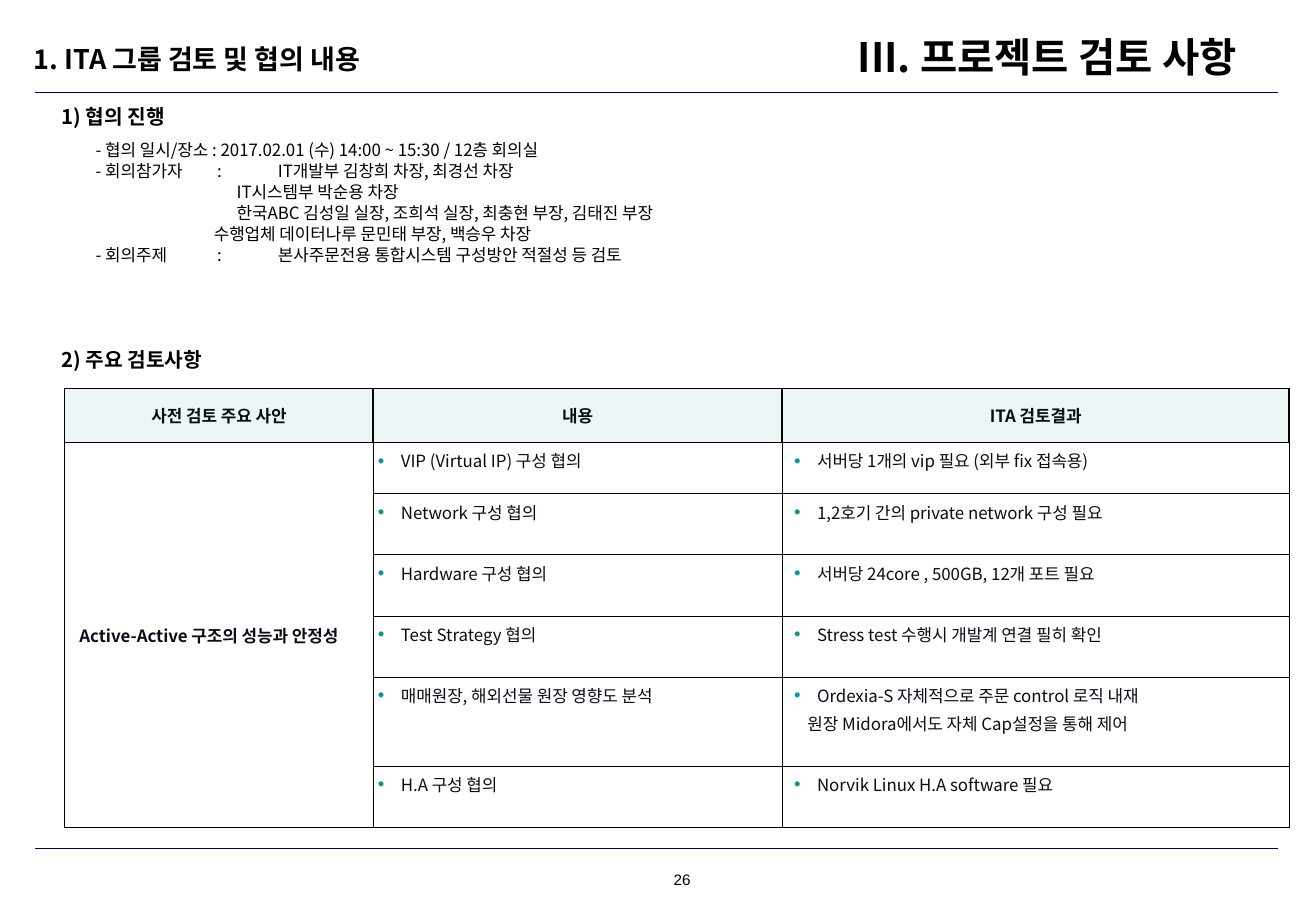
from lxml import etree
from pptx import Presentation
from pptx import util as u
from pptx.dml.color import RGBColor
from pptx.enum import shapes, text
from pptx.oxml import ns

FONT = "Noto Sans CJK KR"
LEFT, CENTER, JUSTIFY = text.PP_ALIGN.LEFT, text.PP_ALIGN.CENTER, text.PP_ALIGN.JUSTIFY
TOP, MIDDLE = text.MSO_ANCHOR.TOP, text.MSO_ANCHOR.MIDDLE

MEETING = [
    ("- 협의 일시/장소 : 2017.02.01 (수) 14:00 ~ 15:30 / 12층 회의실", 0),
    ("- 회의참가자\t:\tIT개발부 김창희 차장, 최경선 차장", 0),
    ("IT시스템부 박순용 차장", 2.95),
    ("한국ABC 김성일 실장, 조희석 실장, 최충현 부장, 김태진 부장", 2.95),
    ("수행업체 데이터나루 문민태 부장, 백승우 차장", 2.47),
    ("- 회의주제\t:\t본사주문전용 통합시스템 구성방안 적절성 등 검토", 0),
]
HEADERS = ["사전 검토 주요 사안", "내용", "ITA 검토결과"]
TOPIC = "Active-Active 구조의 성능과 안정성"
REVIEWS = [
    ("VIP (Virtual IP) 구성 협의", ["서버당 1개의 vip 필요 (외부 fix 접속용)"]),
    ("Network 구성 협의", ["1,2호기 간의 private network 구성 필요"]),
    ("Hardware 구성 협의", ["서버당 24core , 500GB, 12개 포트 필요"]),
    ("Test Strategy 협의", ["Stress test 수행시 개발계 연결 필히 확인"]),
    ("매매원장, 해외선물 원장 영향도 분석",
     ["Ordexia-S 자체적으로 주문 control 로직 내재",
      "원장 Midora에서도 자체 Cap설정을 통해 제어"]),
    ("H.A 구성 협의", ["Norvik Linux H.A software 필요"]),
]
COLUMN_WIDTHS = [6.45, 8.55, 10.6]
ROW_HEIGHTS = [1.13, 1.07, 1.28, 1.28, 1.28, 1.86, 1.28]


def color(value):
    return RGBColor.from_string(value)


def element(parent, tag, **attributes):
    return etree.SubElement(parent, ns.qn(tag), attributes)


class SlideBuilder:
    ink = "000000"
    table_ink = "0B0C17"
    rule = "000066"
    bullet = "009999"
    header_fill = "ECF6F7"

    def __init__(self, slide):
        self.slide = slide

    def line(self, left, top, right):
        connector = self.slide.shapes.add_connector(
            shapes.MSO_CONNECTOR.STRAIGHT, u.Cm(left), u.Cm(top), u.Cm(right), u.Cm(top))
        connector.line.color.rgb = color(self.rule)
        connector.line.width = u.Pt(0.75)
        element(connector._element.spPr, "a:effectLst")

    def paragraph(self, frame, index, content, size, bold=False, ink=ink, align=LEFT,
                  font=FONT, indent=0, hanging=0, tabs=()):
        paragraph = frame.paragraphs[0] if index == 0 else frame.add_paragraph()
        paragraph.text = content
        paragraph.alignment = align
        paragraph.font.size = u.Pt(size)
        paragraph.font.bold = bold
        paragraph.font.color.rgb = color(ink)
        paragraph.font.name = font
        properties = paragraph._p.pPr
        defaults = properties.find(ns.qn("a:defRPr"))
        element(defaults, "a:ea", typeface=font)
        properties.set("marL", str(u.Cm(indent)))
        properties.set("indent", str(u.Cm(-hanging)))
        if hanging:
            element(element(properties, "a:buClr"), "a:srgbClr", val=self.bullet)
            element(properties, "a:buSzPct", val="110000")
            element(properties, "a:buFont", typeface="Arial")
            element(properties, "a:buChar", char="•")
        if tabs:
            tab_list = element(properties, "a:tabLst")
            for position in tabs:
                element(tab_list, "a:tab", pos=str(u.Cm(position)), algn="l")
        properties.append(defaults)
        return paragraph

    def frame(self, left, top, width, height, anchor=MIDDLE, margins=(0.25, 0.13)):
        box = self.slide.shapes.add_textbox(u.Cm(left), u.Cm(top), u.Cm(width), u.Cm(height))
        frame = box.text_frame
        frame.word_wrap = True
        frame.vertical_anchor = anchor
        frame.margin_left = frame.margin_right = u.Cm(margins[0])
        frame.margin_top = frame.margin_bottom = u.Cm(margins[1])
        return frame

    def label(self, content, left, top, width, height, size, margins=(0.25, 0.13), **style):
        frame = self.frame(left, top, width, height, margins=margins)
        self.paragraph(frame, 0, content, size, **style)

    def meeting_notes(self, left, top, width, height):
        frame = self.frame(left, top, width, height, TOP)
        for index, (content, indent) in enumerate(MEETING):
            tabs = (2.57, 2.85) if "\t" in content else ()
            paragraph = self.paragraph(frame, index, content, 10, align=JUSTIFY,
                                       indent=indent, tabs=tabs)
            paragraph.line_spacing = 1.04

    def cell(self, cell, contents, fill="FFFFFF", anchor=TOP, margin=0.25, bold=False,
             align=LEFT, bulleted=False, border=0.5):
        cell.vertical_anchor = anchor
        cell.margin_left = cell.margin_right = u.Cm(margin)
        cell.margin_top = cell.margin_bottom = u.Cm(0.13)
        for index, content in enumerate(contents):
            first = bulleted and index == 0
            paragraph = self.paragraph(
                cell.text_frame, index, content, 10, bold, self.table_ink, align,
                indent=0.48 if first else 0.28 * index, hanging=0.48 if first else 0)
            paragraph.space_before = u.Pt(2)
        properties = cell._tc.get_or_add_tcPr()
        for side in ("L", "R", "T", "B"):
            edge = element(properties, "a:ln" + side, w=str(u.Pt(border)))
            element(element(edge, "a:solidFill"), "a:srgbClr", val=self.ink)
        cell.fill.solid()
        cell.fill.fore_color.rgb = color(fill)

    def review_table(self, left, top):
        table = self.slide.shapes.add_table(
            len(ROW_HEIGHTS), len(COLUMN_WIDTHS), u.Cm(left), u.Cm(top),
            u.Cm(sum(COLUMN_WIDTHS)), u.Cm(sum(ROW_HEIGHTS))).table
        table.first_row = table.horz_banding = False
        for column, width in zip(table.columns, COLUMN_WIDTHS):
            column.width = u.Cm(width)
        for row, height in zip(table.rows, ROW_HEIGHTS):
            row.height = u.Cm(height)
        for index, header in enumerate(HEADERS):
            self.cell(table.cell(0, index), [header], self.header_fill, MIDDLE,
                      bold=True, align=CENTER, border=1)
        table.cell(1, 0).merge(table.cell(len(REVIEWS), 0))
        for row, (subject, results) in enumerate(REVIEWS, 1):
            self.cell(table.cell(row, 0), [TOPIC] if row == 1 else [],
                      anchor=MIDDLE, margin=0.31, bold=True)
            self.cell(table.cell(row, 1), [subject], margin=0.1, bulleted=True)
            self.cell(table.cell(row, 2), results, bulleted=True)


def main():
    presentation = Presentation()
    presentation.slide_width = u.Cm(27.51)
    presentation.slide_height = u.Cm(19.05)
    builder = SlideBuilder(presentation.slides.add_slide(presentation.slide_layouts[6]))
    for top in (1.93, 17.75):
        builder.line(0.74, top, 26.72)
    builder.label("26", 13.36, 18.11, 1.8, 0.56, 9, margins=(0, 0), align=CENTER, font="Arial")
    builder.label("1. ITA 그룹 검토 및 협의 내용", 0.46, 0.58, 11.5, 1.3, 16, bold=True)
    builder.label("III. 프로젝트 검토 사항", 17.93, 0.58, 9.04, 1.2, 24, margins=(0, 0), bold=True)
    for heading, top in (("1) 협의 진행", 1.98), ("2) 주요 검토사항", 7.06)):
        builder.label(heading, 1.04, top, 6.3, 0.92, 12, bold=True)
    builder.meeting_notes(1.75, 2.77, 24.18, 3.81)
    builder.review_table(1.35, 8.12)
    presentation.save("out.pptx")


if __name__ == "__main__":
    main()
